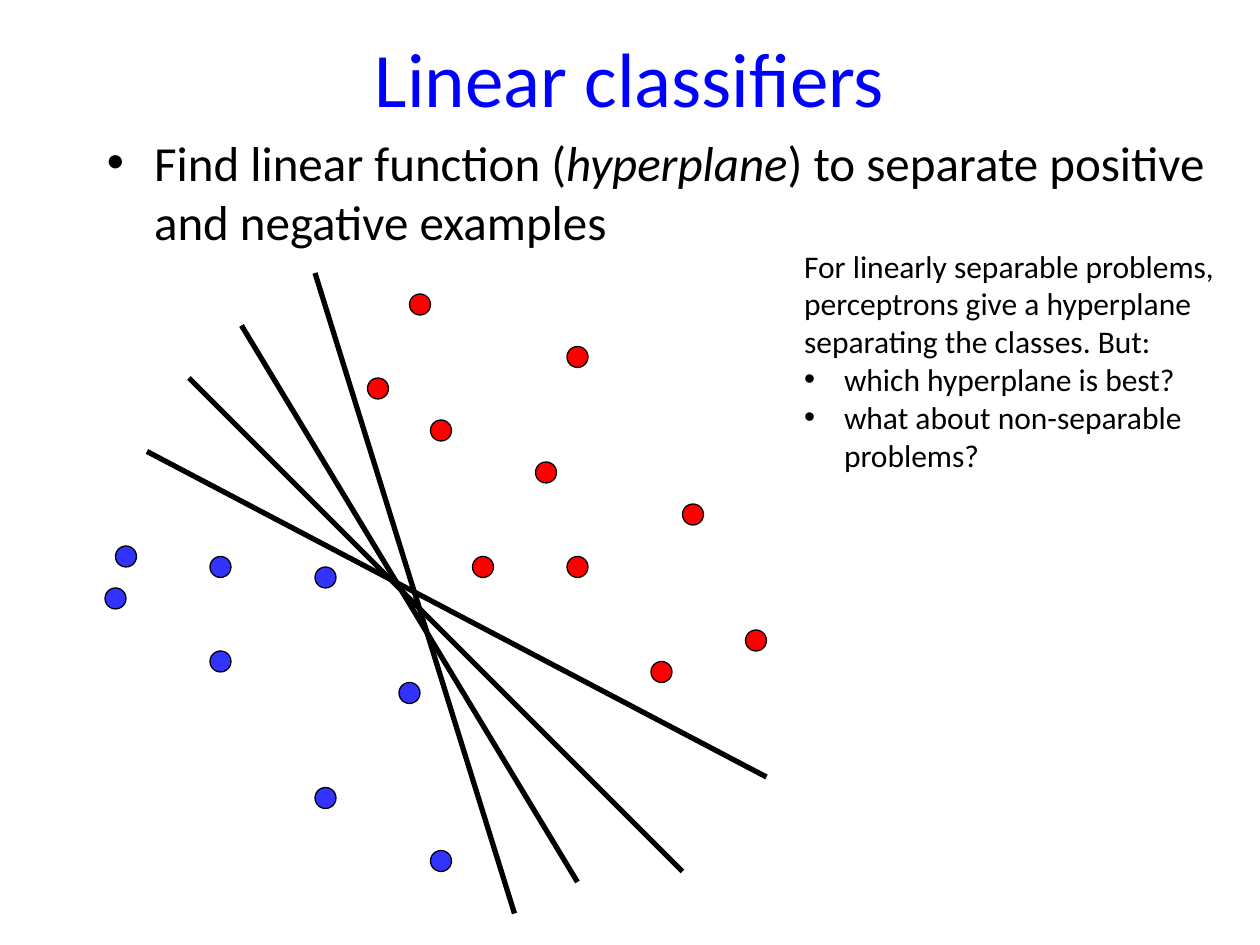
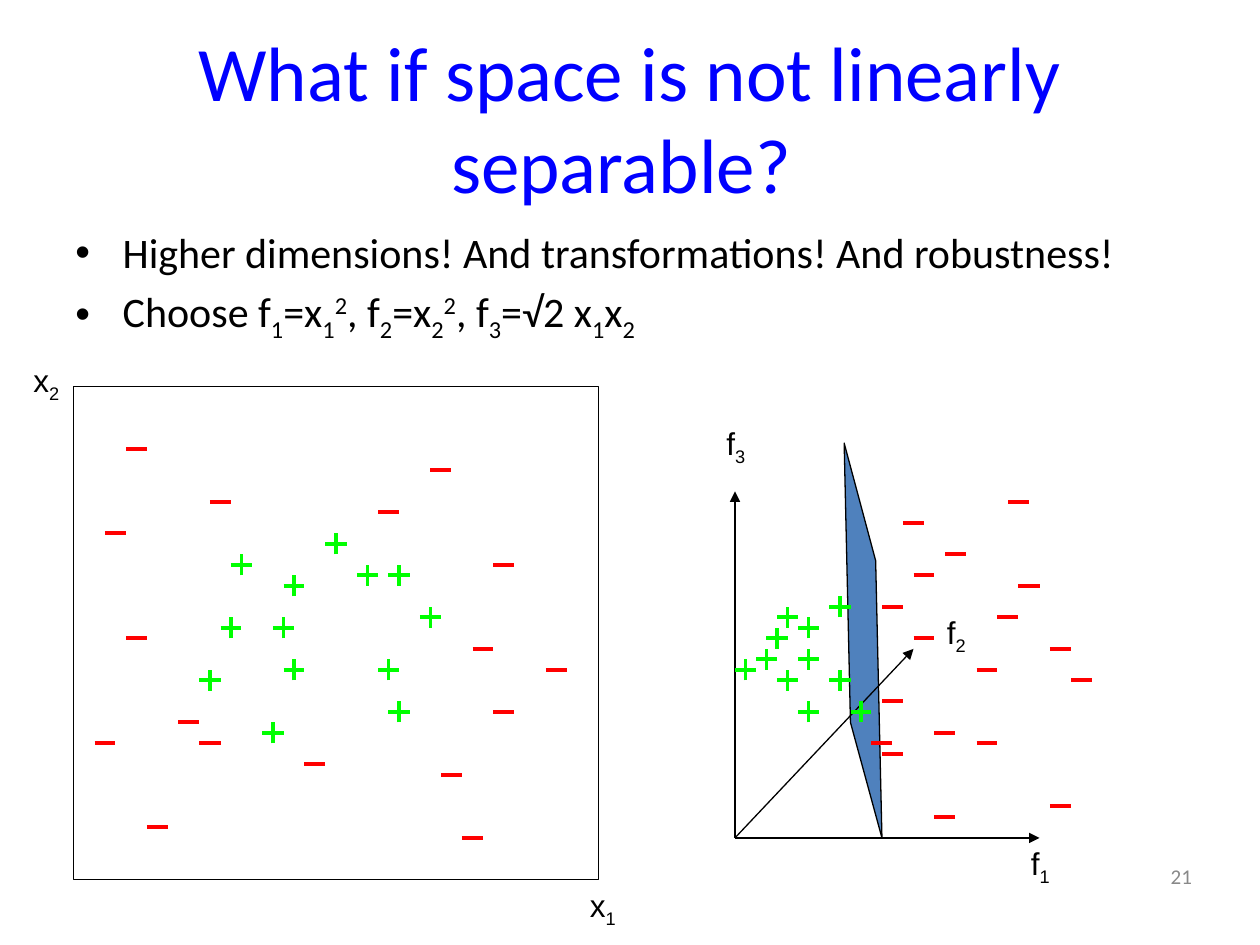
from typing import NamedTuple

from lxml import etree
from pptx import Presentation
from pptx.dml.color import RGBColor
from pptx.enum.shapes import MSO_CONNECTOR, MSO_SHAPE
from pptx.enum.text import MSO_ANCHOR, PP_ALIGN
from pptx.oxml.ns import qn
from pptx.util import Emu, Pt

PX = 7620  # EMU per px, 120 px to the inch
STRAIGHT, OVAL, RECT = MSO_CONNECTOR.STRAIGHT, MSO_SHAPE.OVAL, MSO_SHAPE.RECTANGLE
TOP, MIDDLE = MSO_ANCHOR.TOP, MSO_ANCHOR.MIDDLE
LEFT, CENTER, RIGHT = PP_ALIGN.LEFT, PP_ALIGN.CENTER, PP_ALIGN.RIGHT

COLORS = {
    "title": "0000FF", "ink": "000000", "paper": "FFFFFF", "page": "898989",
    "negative": "3333FF", "positive": "FF0000",
    "minus": "FF0000", "plus": "00FF00", "wall": "4F81BD",
}
BASELINES = {"sub": "-25000", "sup": "30000"}
MARK = 20  # px, size of each dot, plus and minus
THIN, MEDIUM, THICK = 0.75, 2.25, 3

Point = tuple[int, int]


class Box(NamedTuple):
    left: int
    top: int
    width: int
    height: int


class Run(NamedTuple):
    text: str
    style: str = ""


class Paragraph(NamedTuple):
    runs: list[Run]
    indent: int = 0  # px; above zero means bulleted


class TextStyle(NamedTuple):
    size: int
    color: str = "ink"
    font: str = "Calibri"
    align: PP_ALIGN = LEFT
    anchor: MSO_ANCHOR = TOP
    gap: float = 0


class Segment(NamedTuple):
    start: Point
    end: Point


TITLE = TextStyle(44, "title", align=CENTER, anchor=MIDDLE)
BODY_LARGE = TextStyle(28)
BODY = TextStyle(24, gap=4.8)
SIDE_NOTE = TextStyle(18)
AXIS_LABEL = TextStyle(18, font="Arial")
PAGE_NUMBER = TextStyle(12, "page", align=RIGHT, anchor=MIDDLE)
BODY_INDENT, NOTE_INDENT = 45, 38

NEGATIVE_DOTS = [(120, 530), (210, 540), (210, 630), (110, 570), (310, 550),
                 (390, 660), (310, 760), (420, 820)]
POSITIVE_DOTS = [(420, 410), (520, 450), (550, 540), (460, 540), (360, 370),
                 (630, 640), (660, 490), (550, 340), (720, 610), (400, 290)]
HYPERPLANES = [
    Segment((180, 360), (650, 830)),
    Segment((230, 310), (550, 840)),
    Segment((300, 260), (490, 870)),
    Segment((140, 430), (730, 740)),
]

PLANE_MINUSES = [
    (130, 428), (110, 508), (210, 478), (130, 608), (100, 708), (180, 688),
    (150, 788), (200, 708), (420, 448), (480, 538), (300, 728), (370, 488),
    (460, 618), (530, 638), (480, 678), (450, 798), (430, 738)]
PLANE_PLUSES = [
    (280, 558), (220, 598), (230, 538), (280, 638), (270, 598), (320, 518),
    (380, 548), (350, 548), (370, 638), (260, 698), (200, 648), (380, 678),
    (410, 588)]
FEATURE_PLUSES = [
    (770, 598), (770, 628), (730, 628), (770, 678), (800, 578), (800, 648),
    (710, 638), (750, 588), (740, 608), (750, 648), (820, 678)]
FEATURE_MINUSES = [
    (960, 588), (980, 558), (870, 498), (880, 548), (1010, 618), (940, 638),
    (910, 528), (850, 578), (900, 698), (880, 608), (840, 708), (850, 668),
    (850, 718), (970, 478), (940, 708), (900, 778), (1010, 768), (1030, 648)]
WALL = [(804, 422), (834, 534), (840, 798), (810, 688)]
FEATURE_ORIGIN = (700, 798)
AXIS_TIPS = [(700, 468), (870, 618), (990, 798)]
AXIS_LABELS = {"x_1": (550, 838), "x_2": (20, 338), "f_2": (890, 578),
               "f_1": (970, 798), "f_3": (680, 398)}


def rgb(color: str) -> RGBColor:
    return RGBColor.from_string(COLORS[color])


def emu(*lengths: int) -> list[Emu]:
    return [Emu(length * PX) for length in lengths]


def formula_runs(formula: str) -> list[Run]:
    """Split a formula where _ lowers and ^ raises the next character."""
    runs, plain = [], ""
    characters = iter(formula)
    for character in characters:
        if character in "_^":
            if plain:
                runs.append(Run(plain))
                plain = ""
            runs.append(Run(next(characters), "sub" if character == "_" else "sup"))
        else:
            plain += character
    return runs + ([Run(plain)] if plain else [])


def add_bullet(paragraph, indent: int) -> None:
    properties = paragraph._p.get_or_add_pPr()
    properties.set("marL", str(indent * PX))
    properties.set("indent", str(-indent * PX))
    etree.SubElement(properties, qn("a:buFont")).set("typeface", "Arial")
    etree.SubElement(properties, qn("a:buChar")).set("char", "•")


def add_text(slide, box: Box, paragraphs: list[Paragraph], style: TextStyle) -> None:
    frame = slide.shapes.add_textbox(*emu(*box)).text_frame
    frame.word_wrap = True
    frame.vertical_anchor = style.anchor
    font_values = {"size": Pt(style.size), "name": style.font}
    for index, content in enumerate(paragraphs):
        paragraph = frame.add_paragraph() if index else frame.paragraphs[0]
        paragraph.alignment = style.align
        if index and style.gap:
            paragraph.space_before = Pt(style.gap)
        if content.indent:
            add_bullet(paragraph, content.indent)
        for part in content.runs:
            run = paragraph.add_run()
            run.text = part.text
            for key, value in font_values.items():
                setattr(run.font, key, value)
            run.font.color.rgb = rgb(style.color)
            if part.style == "italic":
                run.font.italic = True
            elif part.style:
                run._r.get_or_add_rPr().set("baseline", BASELINES[part.style])


def add_title(slide, top: int, title: str) -> None:
    add_text(slide, Box(60, top, 1080, 150), [Paragraph([Run(title)])], TITLE)


def paint(shape, fill: str) -> None:
    """Give a shape a flat fill and a thin ink outline."""
    shape.shadow.inherit = False
    shape.fill.solid()
    shape.fill.fore_color.rgb = rgb(fill)
    shape.line.color.rgb = rgb("ink")
    shape.line.width = Pt(THIN)


def add_line(shapes, segment: Segment, color: str, weight: float,
             arrow: bool = False) -> None:
    line = shapes.add_connector(STRAIGHT, *emu(*segment.start, *segment.end))
    line.line.color.rgb = rgb(color)
    line.line.width = Pt(weight)
    if arrow:
        etree.SubElement(line.get_or_add_ln(), qn("a:tailEnd")).set("type", "triangle")
    etree.SubElement(line._element.spPr, qn("a:effectLst"))


def add_dots(slide, centers: list[Point], color: str) -> None:
    for x, y in centers:
        corner = (x - MARK // 2, y - MARK // 2)
        paint(slide.shapes.add_shape(OVAL, *emu(*corner, MARK, MARK)), color)


def add_minus(shapes, center: Point, color: str = "minus") -> None:
    x, y = center
    half = MARK // 2
    add_line(shapes, Segment((x - half, y), (x + half, y)), color, MEDIUM)


def add_plus(slide, center: Point) -> None:
    x, y = center
    half = MARK // 2
    strokes = slide.shapes.add_group_shape().shapes
    add_minus(strokes, center, "plus")
    add_line(strokes, Segment((x, y + half), (x, y - half)), "plus", MEDIUM)


def build_linear_classifiers(slide) -> None:
    add_title(slide, -2, "Linear classifiers")
    goal = [Run("Find linear function ("), Run("hyperplane", "italic"),
            Run(") to separate positive and negative examples")]
    add_text(slide, Box(90, 120, 1080, 690), [Paragraph(goal, BODY_INDENT)], BODY_LARGE)
    add_dots(slide, NEGATIVE_DOTS, "negative")
    add_dots(slide, POSITIVE_DOTS, "positive")
    for hyperplane in HYPERPLANES:
        add_line(slide.shapes, hyperplane, "ink", THICK)
    add_text(slide, Box(754, 229, 416, 230), [
        Paragraph([Run("For linearly separable problems, perceptrons give a "
                       "hyperplane separating the classes. But:")]),
        Paragraph([Run("which hyperplane is best?")], NOTE_INDENT),
        Paragraph([Run("what about non-separable problems?")], NOTE_INDENT),
    ], SIDE_NOTE)


def build_not_separable(slide) -> None:
    add_title(slide, 36, "What if space is not linearly separable? ")
    ideas = [
        [Run("Higher dimensions! And transformations! And robustness!")],
        formula_runs("Choose f_1=x_1^2, f_2=x_2^2, f_3=√2 x_1x_2"),
    ]
    add_text(slide, Box(60, 210, 1080, 594),
             [Paragraph(idea, BODY_INDENT) for idea in ideas], BODY)
    add_text(slide, Box(1067, 800, 80, 68), [Paragraph([Run("21")])], PAGE_NUMBER)

    wall = slide.shapes.build_freeform(*WALL[0], scale=PX)
    wall.add_line_segments(WALL[1:], close=True)
    paint(wall.convert_to_shape(), "wall")
    paint(slide.shapes.add_shape(RECT, *emu(70, 368, 500, 470)), "paper")

    for tip in AXIS_TIPS:
        add_line(slide.shapes, Segment(FEATURE_ORIGIN, tip), "ink", THIN, arrow=True)
    for center in PLANE_PLUSES + FEATURE_PLUSES:
        add_plus(slide, center)
    for center in PLANE_MINUSES + FEATURE_MINUSES:
        add_minus(slide.shapes, center)
    for label, corner in AXIS_LABELS.items():
        add_text(slide, Box(*corner, 70, 48), [Paragraph(formula_runs(label))],
                 AXIS_LABEL)


def main() -> None:
    presentation = Presentation()
    presentation.slide_width, presentation.slide_height = emu(1200, 900)
    blank = presentation.slide_layouts[6]
    for build in (build_linear_classifiers, build_not_separable):
        build(presentation.slides.add_slide(blank))
    presentation.save("out.pptx")


if __name__ == "__main__":
    main()
